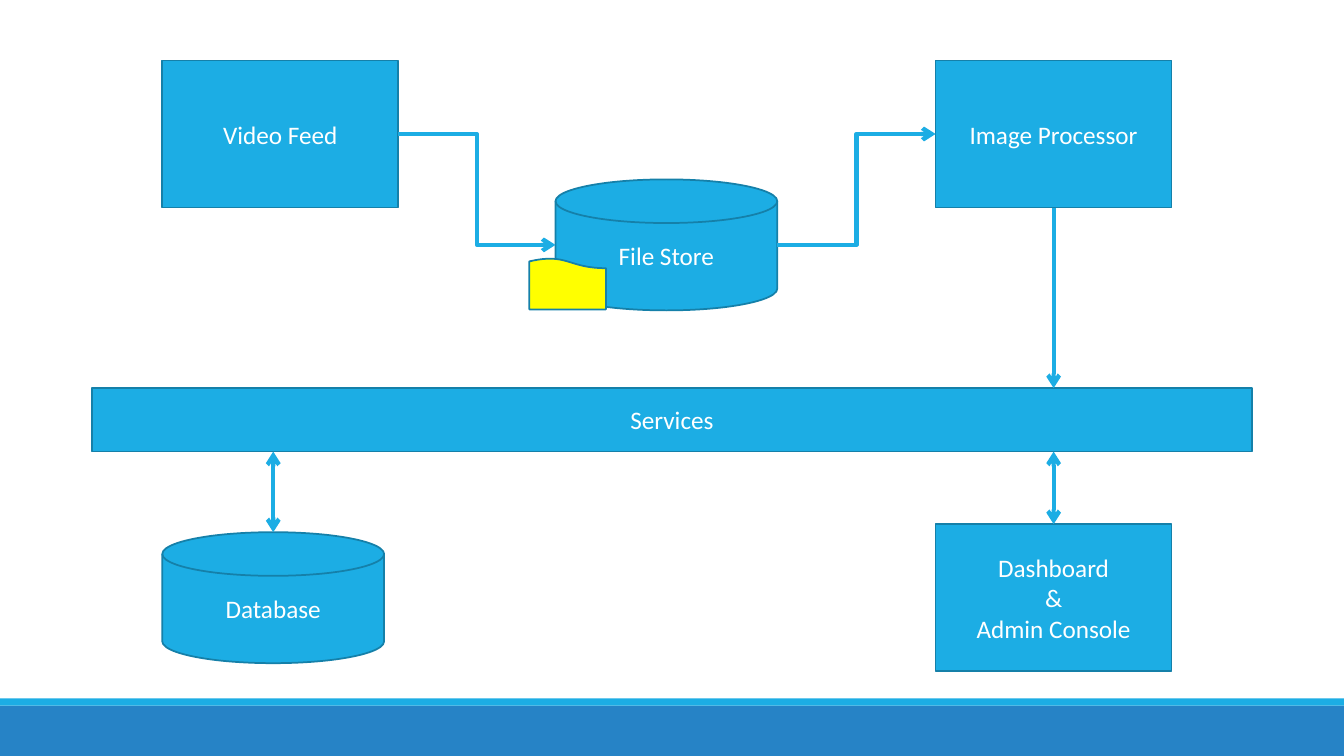
from dataclasses import dataclass

from lxml import etree
from pptx import Presentation
from pptx.dml.color import RGBColor
from pptx.enum.shapes import MSO_CONNECTOR, MSO_SHAPE
from pptx.enum.text import MSO_ANCHOR, PP_ALIGN
from pptx.oxml.ns import qn
from pptx.util import Emu, Pt

PX = 9144
RECTANGLE = MSO_SHAPE.RECTANGLE
DISK = MSO_SHAPE.FLOWCHART_MAGNETIC_DISK
DOCUMENT = MSO_SHAPE.FLOWCHART_DOCUMENT
STRAIGHT = MSO_CONNECTOR.STRAIGHT
ELBOW = MSO_CONNECTOR.ELBOW
CENTER = PP_ALIGN.CENTER
MIDDLE = MSO_ANCHOR.MIDDLE
TOP, BOTTOM = 0, 2


@dataclass(frozen=True)
class Theme:
    """Colours, font and sizes of the slide."""
    accent: RGBColor = RGBColor(0x1C, 0xAD, 0xE4)
    outline: RGBColor = RGBColor(0x15, 0x80, 0xA9)
    footer: RGBColor = RGBColor(0x26, 0x83, 0xC6)
    file: RGBColor = RGBColor(0xFF, 0xFF, 0x00)
    text: RGBColor = RGBColor(0xFF, 0xFF, 0xFF)
    font: str = "Calibri"
    text_size: Pt = Pt(18)
    outline_width: Pt = Pt(1.25)
    arrow_width: Pt = Pt(3)


THEME = Theme()


def px(length):
    """Turn a length in px into EMU."""
    return Emu(length * PX)


def add_block(slide, kind, box, fill, outlined=True):
    """Add a filled shape, outlined unless told otherwise."""
    shape = slide.shapes.add_shape(kind, *map(px, box))
    shape.shadow.inherit = False
    shape.fill.solid()
    shape.fill.fore_color.rgb = fill
    if outlined:
        shape.line.color.rgb = THEME.outline
        shape.line.width = THEME.outline_width
    else:
        shape.line.fill.background()
    return shape


def add_node(slide, kind, box, *lines):
    """Add a diagram node with one centred paragraph per line."""
    shape = add_block(slide, kind, box, THEME.accent)
    frame = shape.text_frame
    frame.word_wrap = True
    frame.vertical_anchor = MIDDLE
    frame.text = "\n".join(lines)
    for paragraph in frame.paragraphs:
        paragraph.alignment = CENTER
        paragraph.font.name = THEME.font
        paragraph.font.size = THEME.text_size
        paragraph.font.color.rgb = THEME.text
    return shape


def add_arrow(slide, kind, start, end, both_ways=False):
    """Add an arrow from start to end, with a second head if both ways."""
    connector = slide.shapes.add_connector(kind, *map(px, start + end))
    connector.line.color.rgb = THEME.accent
    connector.line.width = THEME.arrow_width
    line = connector.line._get_or_add_ln()
    for tag in ("a:headEnd", "a:tailEnd") if both_ways else ("a:tailEnd",):
        etree.SubElement(line, qn(tag), type="arrow")
    etree.SubElement(connector._element.spPr, qn("a:effectLst"))
    return connector


def main():
    """Build the system diagram and save it."""
    presentation = Presentation()
    presentation.slide_width = px(1333)
    presentation.slide_height = px(750)
    slide = presentation.slides.add_slide(presentation.slide_layouts[6])

    add_block(slide, RECTANGLE, (0, 700, 1333, 50), THEME.footer, outlined=False)
    add_block(slide, RECTANGLE, (0, 693, 1333, 7), THEME.accent, outlined=False)

    add_node(slide, RECTANGLE, (161, 60, 234, 146), "Video Feed")
    add_node(slide, RECTANGLE, (91, 385, 1151, 63), "Services")
    add_node(slide, DISK, (161, 528, 220, 130), "Database")
    processor = add_node(slide, RECTANGLE, (928, 60, 234, 146), "Image Processor")
    dashboard = add_node(slide, RECTANGLE, (928, 520, 234, 146),
                         "Dashboard", "&", "Admin Console")
    add_node(slide, DISK, (551, 178, 220, 130), "File Store")
    file = add_block(slide, DOCUMENT, (525, 256, 76, 51), THEME.file)
    file._element.spPr.get_or_add_xfrm().set("flipV", "1")

    add_arrow(slide, ELBOW, (771, 243), (928, 133))
    add_arrow(slide, ELBOW, (395, 133), (551, 243))
    add_arrow(slide, STRAIGHT, (271, 528), (271, 448), both_ways=True)
    dashboard_link = add_arrow(slide, STRAIGHT, (1045, 520), (1045, 448), both_ways=True)
    dashboard_link.begin_connect(dashboard, TOP)
    processor_link = add_arrow(slide, STRAIGHT, (1045, 206), (1045, 385))
    processor_link.begin_connect(processor, BOTTOM)

    presentation.save("out.pptx")


if __name__ == "__main__":
    main()
